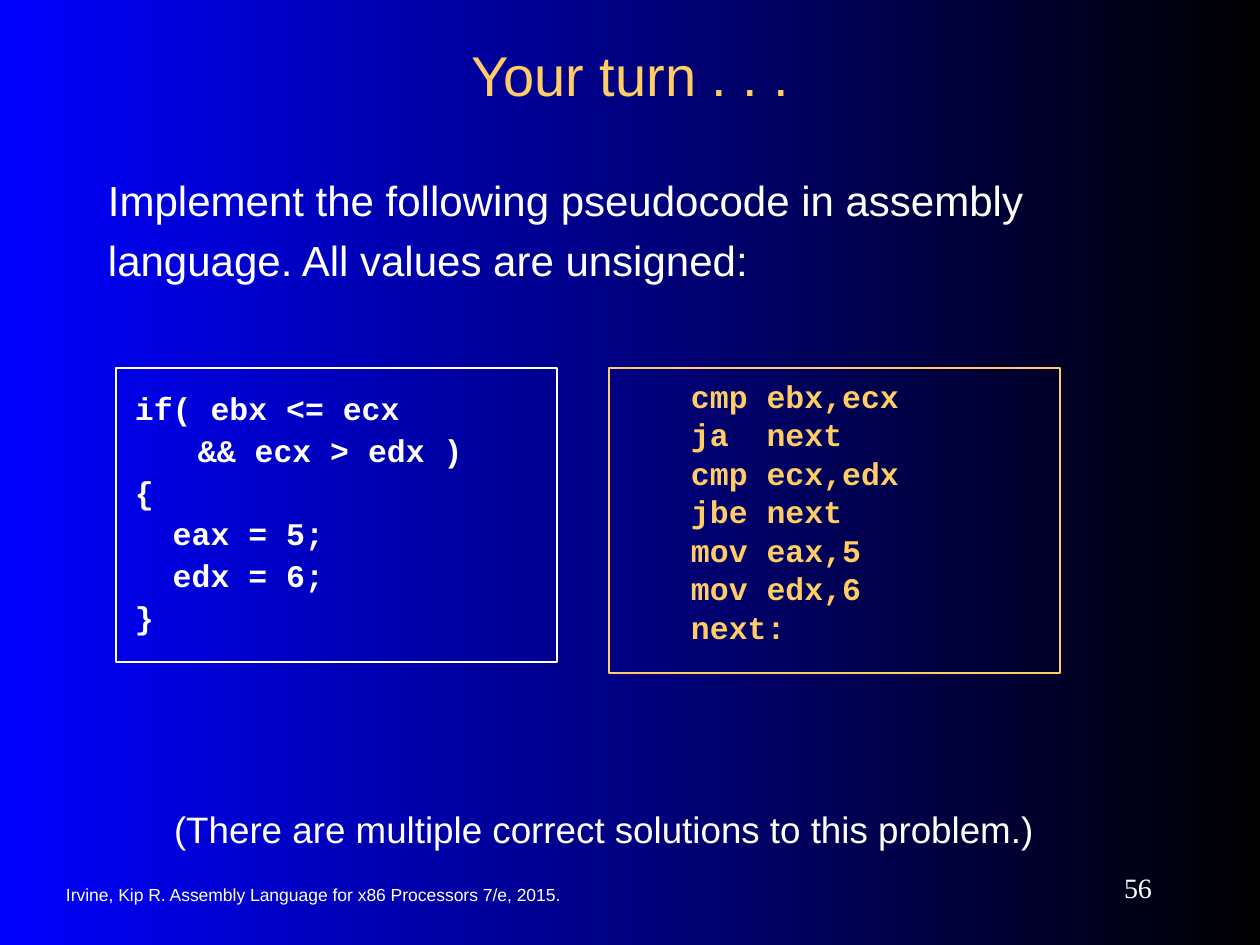
from dataclasses import dataclass

from lxml.etree import SubElement
from pptx import Presentation
from pptx.dml.color import RGBColor
from pptx.enum.shapes import MSO_SHAPE
from pptx.enum.text import MSO_ANCHOR, MSO_AUTO_SIZE, PP_ALIGN
from pptx.oxml.ns import qn
from pptx.util import Emu, Pt


@dataclass(frozen=True)
class Theme:
    white: RGBColor = RGBColor(0xFF, 0xFF, 0xFF)
    gold: RGBColor = RGBColor(0xFF, 0xCC, 0x66)
    blue: RGBColor = RGBColor(0x00, 0x00, 0xFF)
    black: RGBColor = RGBColor(0x00, 0x00, 0x00)
    sans: str = "Arial"
    serif: str = "Times New Roman"
    mono: str = "Courier New"
    title: int = 32
    body: int = 24
    note: int = 21
    code: int = 18
    number: int = 16
    footer: int = 10


theme = Theme()


def px(count):
    return Emu(round(count * 914400 / 126))


def write(box, place, text, font, size, color, align=PP_ALIGN.LEFT,
          anchor=MSO_ANCHOR.TOP, margins=(13, 6), before=0, spacing=1.0, bold=False):
    """Place a box and fill it with one paragraph per line of text."""
    box.left, box.top, box.width, box.height = map(px, place)
    frame = box.text_frame
    frame.text = text
    frame.word_wrap = True
    frame.auto_size = MSO_AUTO_SIZE.NONE
    frame.vertical_anchor = anchor
    frame.margin_left = frame.margin_right = px(margins[0])
    frame.margin_top = frame.margin_bottom = px(margins[1])
    for para in frame.paragraphs:
        para.alignment = align
        para.line_spacing = spacing
        para.space_before = Pt(before)
        for span in para.runs:
            span.font.name = font
            span.font.size = Pt(size)
            span.font.bold = bold
            span.font.color.rgb = color


deck = Presentation()
deck.slide_width, deck.slide_height = px(1260), px(945)
page = deck.slides.add_slide(deck.slide_layouts[1])

backdrop = page.background.fill
backdrop.gradient()
backdrop.gradient_angle = 0
for stop, color in zip(backdrop.gradient_stops, (theme.blue, theme.black)):
    stop.color.rgb = color

# Title and task
write(page.shapes.title, (95, 32, 1071, 84), "Your turn . . .", theme.sans,
      theme.title, theme.gold, PP_ALIGN.CENTER, MSO_ANCHOR.MIDDLE)
task = page.placeholders[1]
write(task, (95, 158, 1071, 168),
      "Implement the following pseudocode in assembly language. "
      "All values are unsigned:",
      theme.sans, theme.body, theme.white, before=6, spacing=1.2)
task_format = task.text_frame.paragraphs[0]._p.get_or_add_pPr()
task_format.set("marL", "0")
task_format.set("indent", "0")
SubElement(task_format, qn("a:buNone"))

# Code panels: place, colour, space before, line spacing, left indent, code
answer = """cmp ebx,ecx
ja  next
cmp ecx,edx
jbe next
mov eax,5
mov edx,6
next:"""
pseudocode = """if( ebx <= ecx
\t&& ecx > edx )
{
  eax = 5;
  edx = 6;
}"""
panels = [
    ((609, 368, 451, 305), theme.gold, 11.2, 0.5, 63, answer),
    ((116, 368, 441, 294), theme.white, 4.5, 0.9, 0, pseudocode),
]
for place, color, before, spacing, indent, code in panels:
    panel = page.shapes.add_shape(MSO_SHAPE.RECTANGLE, 0, 0, 0, 0)
    panel.shadow.inherit = False
    panel.fill.background()
    panel.line.color.rgb = color
    panel.line.width = Pt(0.75)
    write(panel, place, code, theme.mono, theme.code, color, margins=(19, 25),
          before=before, spacing=spacing, bold=True)
    for para in panel.text_frame.paragraphs:
        para_format = para._p.get_or_add_pPr()
        para_format.set("marL", str(px(indent)))
        tabs = SubElement(para_format, qn("a:tabLst"))
        SubElement(tabs, qn("a:tab"), pos=str(px(63)), algn="l")

# Note, footer and page number
note, footer, number = (page.shapes.add_textbox(0, 0, 0, 0) for _ in range(3))
write(note, (105, 788, 998, 82),
      "(There are multiple correct solutions to this problem.)",
      theme.sans, theme.note, theme.white, PP_ALIGN.CENTER,
      margins=(13, 19), before=13.1)
write(footer, (53, 873, 651, 42),
      "Irvine, Kip R. Assembly Language for x86 Processors 7/e, 2015.",
      theme.sans, theme.footer, theme.white, anchor=MSO_ANCHOR.MIDDLE)
write(number, (1029, 861, 136, 53), "56", theme.serif, theme.number,
      theme.white, PP_ALIGN.RIGHT, MSO_ANCHOR.MIDDLE)

deck.save("out.pptx")
